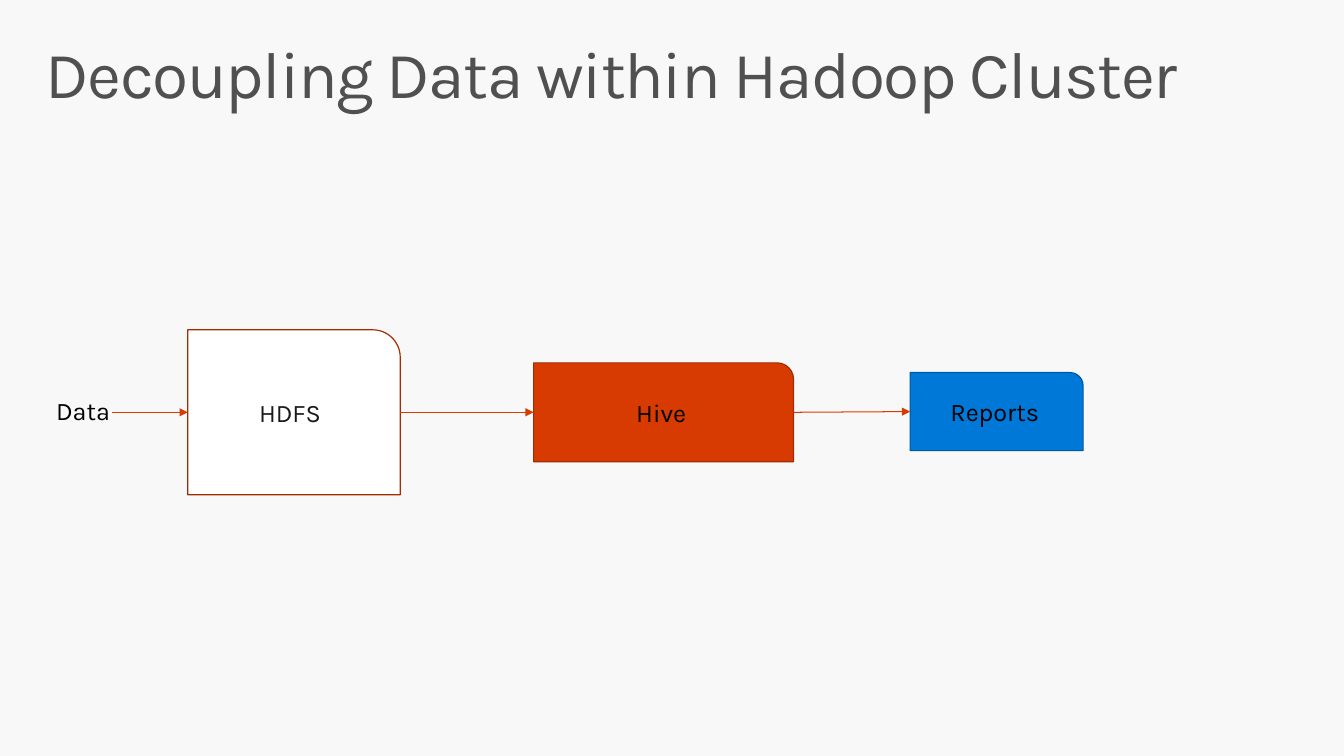
from pptx import Presentation
from pptx.dml.color import RGBColor
from pptx.enum.shapes import MSO_CONNECTOR as Connector, MSO_SHAPE as Shape
from pptx.enum.text import MSO_ANCHOR as Anchor, MSO_AUTO_SIZE as AutoSize, PP_ALIGN as Align
from pptx.oxml.ns import qn
from pptx.util import Pt
from lxml.etree import SubElement

FONT = "Karla"
LEFT_SIDE, RIGHT_SIDE = 1, 3
MIDDLE = 300.4
STAGES = [
    ("HDFS", 136.8, MIDDLE, 154.8, 120.2, "FFFFFF", "A02C01", "191919"),
    ("Hive", 388.8, MIDDLE, 189.4, 72, "D83B01", "A02C01", "000000"),
    ("Reports", 663.1, 299.9, 126, 56.9, "0078D7", "00599F", "000000"),
]


def color(value):
    return RGBColor.from_string(value)


def add_run(paragraph, text, size, text_color):
    run = paragraph.add_run()
    run.text = text
    run.font.name = FONT
    run.font.size = Pt(size)
    run.font.color.rgb = color(text_color)
    return run


def set_title(slide, text):
    title = slide.shapes.title
    title.left, title.top, title.width, title.height = Pt(21.6), Pt(23), Pt(936), Pt(72)
    frame = title.text_frame
    frame.word_wrap = True
    frame.auto_size = AutoSize.NONE
    frame.vertical_anchor = Anchor.TOP
    frame.margin_left = frame.margin_right = Pt(11.5)
    frame.margin_top = frame.margin_bottom = Pt(7.2)
    paragraph = frame.paragraphs[0]
    paragraph.alignment = Align.LEFT
    paragraph.line_spacing = 0.9
    run = add_run(paragraph, text, 48, "505050")
    run.font._element.set("spc", "-100")


def add_label(slide, text, left, top, width, height):
    frame = slide.shapes.add_textbox(Pt(left), Pt(top), Pt(width), Pt(height)).text_frame
    frame.word_wrap = True
    frame.auto_size = AutoSize.SHAPE_TO_FIT_TEXT
    add_run(frame.paragraphs[0], text, 18.4, "000000")


def add_stage(slide, name, left, middle, width, height, fill, outline, text_color):
    shape = slide.shapes.add_shape(
        Shape.ROUND_1_RECTANGLE, Pt(left), Pt(middle - height / 2), Pt(width), Pt(height)
    )
    shape.shadow.inherit = False
    shape.fill.solid()
    shape.fill.fore_color.rgb = color(fill)
    shape.line.color.rgb = color(outline)
    shape.line.width = Pt(0.85)
    frame = shape.text_frame
    frame.word_wrap = True
    frame.vertical_anchor = Anchor.MIDDLE
    paragraph = frame.paragraphs[0]
    paragraph.alignment = Align.CENTER
    add_run(paragraph, name, 18.4, text_color)
    return shape


def add_arrow(slide, target, source=None, start=0):
    arrow = slide.shapes.add_connector(
        Connector.STRAIGHT, Pt(start), Pt(MIDDLE), target.left, Pt(MIDDLE)
    )
    if source is not None:
        arrow.begin_connect(source, RIGHT_SIDE)
    arrow.end_connect(target, LEFT_SIDE)
    arrow.line.color.rgb = color("D83B01")
    arrow.line.width = Pt(0.75)
    properties = arrow._element.spPr
    SubElement(properties.find(qn("a:ln")), qn("a:tailEnd"), type="triangle")
    SubElement(properties, qn("a:effectLst"))


def main():
    presentation = Presentation()
    presentation.slide_width, presentation.slide_height = Pt(979.2), Pt(550.8)
    slide = presentation.slides.add_slide(presentation.slide_layouts[5])
    slide.background.fill.solid()
    slide.background.fill.fore_color.rgb = color("F8F8F8")

    set_title(slide, "Decoupling Data within Hadoop Cluster")
    stages = [add_stage(slide, *stage) for stage in STAGES]
    add_label(slide, "Data", 33.8, 284.4, 59.8, 30.2)
    add_arrow(slide, stages[0], start=81.4)
    for source, target in zip(stages, stages[1:]):
        add_arrow(slide, target, source)

    presentation.save("out.pptx")


if __name__ == "__main__":
    main()
